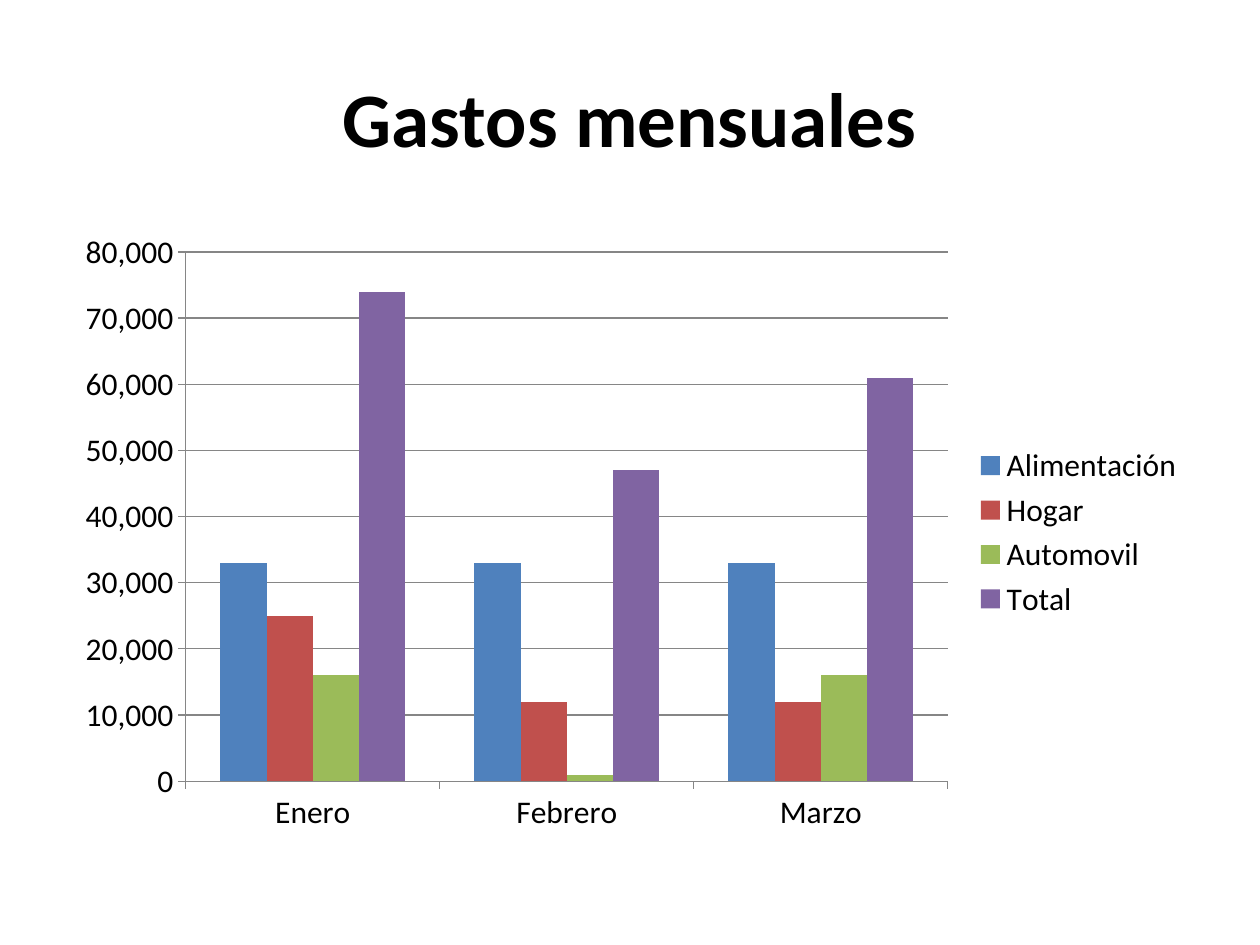
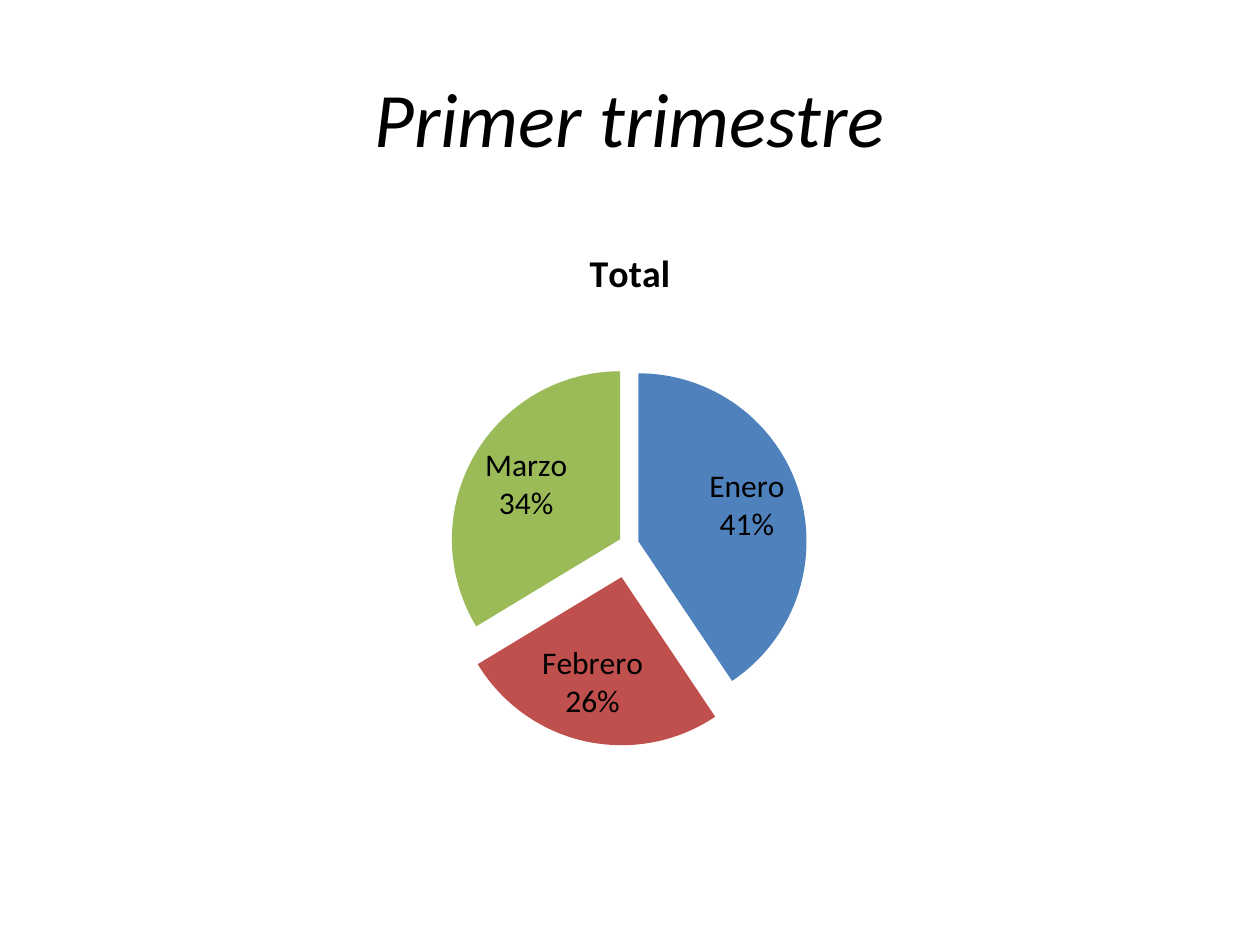
"""Build two slides on monthly expenses: a column chart and a pie chart."""
from dataclasses import dataclass

import lxml.etree
import pptx
import pptx.chart.chart
import pptx.chart.data
import pptx.dml.color
import pptx.enum.chart
import pptx.enum.text
import pptx.oxml.ns
import pptx.presentation
import pptx.slide
import pptx.util

Pt = pptx.util.Pt
RGBColor = pptx.dml.color.RGBColor

BLACK = RGBColor(0x00, 0x00, 0x00)
GRAY = RGBColor(0x86, 0x86, 0x86)
BLUE = RGBColor(0x4F, 0x81, 0xBD)
RED = RGBColor(0xC0, 0x50, 0x4D)
GREEN = RGBColor(0x9B, 0xBB, 0x59)
PURPLE = RGBColor(0x80, 0x64, 0xA2)
PALETTE = (BLUE, RED, GREEN, PURPLE)

FONT = "Calibri"
TITLE_SIZE = Pt(44)
CHART_SIZE = Pt(18)
CHART_TITLE_SIZE = Pt(21.6)
TITLE_BOX = (Pt(36), Pt(21.6), Pt(648), Pt(90))
CHART_BOX = (Pt(36), Pt(126), Pt(648), Pt(356.4))

MONTHS = ("Enero", "Febrero", "Marzo")


@dataclass
class Series:
    """A named row of values, one for each month."""

    name: str
    values: tuple[int, ...]


EXPENSES = (
    Series("Alimentación", (33000, 33000, 33000)),
    Series("Hogar", (25000, 12000, 12000)),
    Series("Automovil", (16000, 1000, 16000)),
    Series("Total", (74000, 47000, 61000)),
)
QUARTER_SHARES = Series("Total", (41, 26, 34))
SLICE_EXPLOSIONS = (6, 20, 6)


def add_titled_slide(
    presentation: pptx.presentation.Presentation,
    title: str,
    bold: bool = False,
    italic: bool = False,
) -> pptx.slide.Slide:
    """Add a title-only slide with a centred title."""
    slide = presentation.slides.add_slide(presentation.slide_layouts[5])
    shape = slide.shapes.title
    shape.left, shape.top, shape.width, shape.height = TITLE_BOX
    shape.text_frame.text = title
    shape.text_frame.vertical_anchor = pptx.enum.text.MSO_ANCHOR.MIDDLE
    paragraph = shape.text_frame.paragraphs[0]
    paragraph.alignment = pptx.enum.text.PP_ALIGN.CENTER
    font = paragraph.font
    font.name, font.size = FONT, TITLE_SIZE
    font.bold, font.italic = bold, italic
    font.color.rgb = BLACK
    return slide


def add_chart(
    slide: pptx.slide.Slide,
    chart_type: pptx.enum.chart.XL_CHART_TYPE,
    rows: tuple[Series, ...],
    number_format: str = "General",
) -> pptx.chart.chart.Chart:
    """Add a monthly chart in the shared place and font."""
    data = pptx.chart.data.CategoryChartData(number_format=number_format)
    data.categories = MONTHS
    for row in rows:
        data.add_series(row.name, row.values)
    chart = slide.shapes.add_chart(chart_type, *CHART_BOX, data).chart
    chart.font.name, chart.font.size = FONT, CHART_SIZE
    chart.font.color.rgb = BLACK
    return chart


def add_expense_columns(slide: pptx.slide.Slide) -> None:
    """Add the clustered columns with their axes and legend."""
    chart = add_chart(
        slide, pptx.enum.chart.XL_CHART_TYPE.COLUMN_CLUSTERED, EXPENSES, "#,##0"
    )
    chart.has_title = False
    chart.has_legend = True
    chart.legend.position = pptx.enum.chart.XL_LEGEND_POSITION.RIGHT
    chart.legend.include_in_layout = False

    plot = chart.plots[0]
    plot.gap_width = 150
    plot.vary_by_categories = False
    for series, color in zip(plot.series, PALETTE):
        series.format.fill.solid()
        series.format.fill.fore_color.rgb = color

    value_axis = chart.value_axis
    value_axis.has_major_gridlines = True
    value_axis.tick_labels.number_format = "#,##0"
    value_axis.tick_labels.number_format_is_linked = False
    for axis in (chart.category_axis, value_axis):
        axis.major_tick_mark = pptx.enum.chart.XL_TICK_MARK.OUTSIDE
        axis.format.line.color.rgb = GRAY
        axis.format.line.width = Pt(0.75)
    value_axis.major_gridlines.format.line.color.rgb = GRAY
    value_axis.major_gridlines.format.line.width = Pt(0.75)


def explode_slices(chart: pptx.chart.chart.Chart) -> None:
    """Pull each pie slice out by its share of the radius."""
    qn = pptx.oxml.ns.qn
    for point, amount in zip(chart.element.iter(qn("c:dPt")), SLICE_EXPLOSIONS):
        explosion = lxml.etree.Element(qn("c:explosion"), val=str(amount))
        point.find(qn("c:spPr")).addprevious(explosion)


def add_quarter_pie(slide: pptx.slide.Slide) -> None:
    """Add the exploded pie with a title and labels."""
    chart = add_chart(slide, pptx.enum.chart.XL_CHART_TYPE.PIE, (QUARTER_SHARES,))
    chart.has_legend = False
    chart.has_title = True
    chart.chart_title.include_in_layout = False
    chart.chart_title.text_frame.text = QUARTER_SHARES.name
    title_font = chart.chart_title.text_frame.paragraphs[0].font
    title_font.name, title_font.size = FONT, CHART_TITLE_SIZE
    title_font.bold = True
    title_font.color.rgb = BLACK

    plot = chart.plots[0]
    for index, color in enumerate(PALETTE[: len(MONTHS)]):
        fill = plot.series[0].points[index].format.fill
        fill.solid()
        fill.fore_color.rgb = color
    explode_slices(chart)

    labels = plot.series[0].data_labels
    labels.show_category_name = True
    labels.show_percentage = True
    labels.show_value = False
    labels.position = pptx.enum.chart.XL_LABEL_POSITION.BEST_FIT
    labels.font.name, labels.font.size = FONT, CHART_SIZE
    labels.font.color.rgb = BLACK


def main() -> None:
    """Build and save the presentation."""
    presentation = pptx.Presentation()
    presentation.slide_width, presentation.slide_height = Pt(720), Pt(540)
    add_expense_columns(add_titled_slide(presentation, "Gastos mensuales", bold=True))
    add_quarter_pie(add_titled_slide(presentation, "Primer trimestre", italic=True))
    presentation.save("out.pptx")


main()
